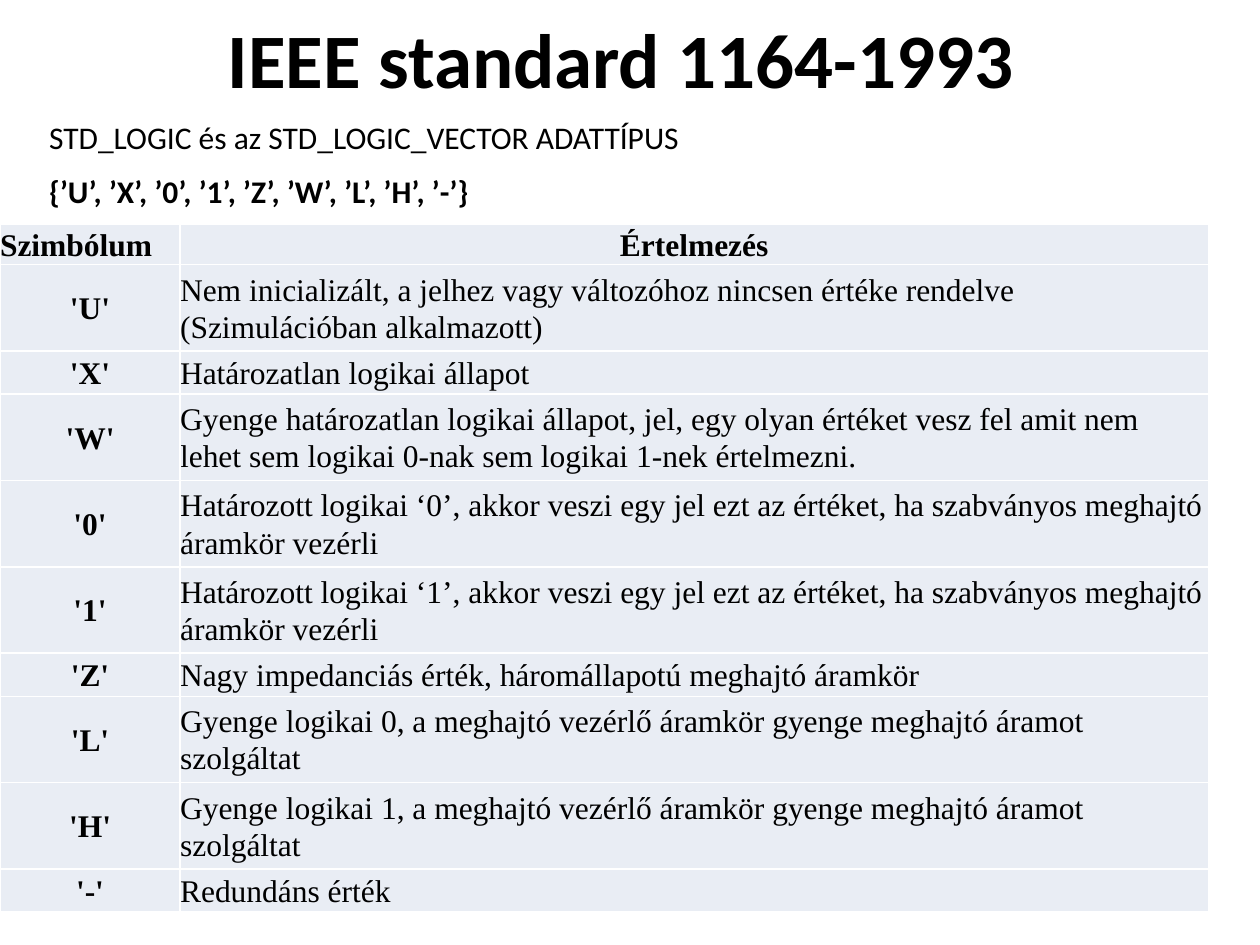
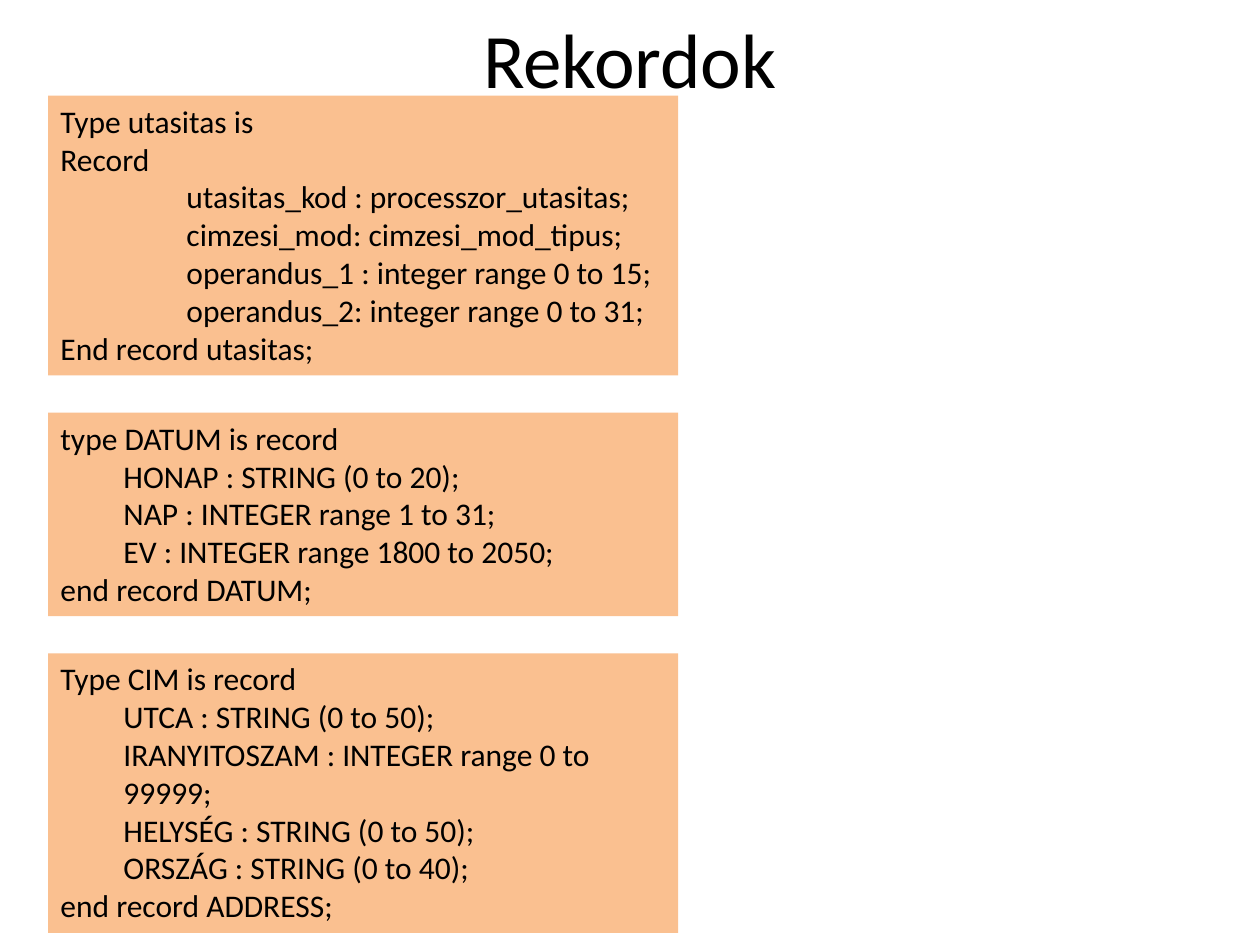
from lxml import etree
from pptx import Presentation
from pptx.dml.color import RGBColor
from pptx.enum.shapes import MSO_SHAPE
from pptx.enum.text import MSO_ANCHOR, MSO_AUTO_SIZE, PP_ALIGN
from pptx.oxml.ns import qn
from pptx.util import Cm, Pt

LEFT, CENTER = PP_ALIGN.LEFT, PP_ALIGN.CENTER
TOP, MIDDLE = MSO_ANCHOR.TOP, MSO_ANCHOR.MIDDLE
RECT, GROW = MSO_SHAPE.RECTANGLE, MSO_AUTO_SIZE.SHAPE_TO_FIT_TEXT
BLACK, WHITE, PALE, PEACH = "000000", "FFFFFF", "E9EDF4", "FAC090"
SANS, SERIF = "Calibri", "Times New Roman"

# Content of the first slide
TITLES = [("IEEE standard 1164-1993 ", True), ("Rekordok", False)]
LEADS = [  # text, bold, top, width
    ("STD_LOGIC és az STD_LOGIC_VECTOR ADATTÍPUS", False, 2.26, 13.33),
    ("{’U’, ’X’, ’0’, ’1’, ’Z’, ’W’, ’L’, ’H’, ’-’} ", True, 3.35, 9.22),
]
HEADS = ("Szimbólum", "Értelmezés")
STATES = [  # symbol, meaning, lines of text
    ("U", "Nem inicializált, a jelhez vagy változóhoz nincsen értéke "
          "rendelve (Szimulációban alkalmazott)", 2),
    ("X", "Határozatlan logikai állapot", 1),
    ("W", "Gyenge határozatlan logikai állapot, jel, egy olyan értéket vesz "
          "fel amit nem lehet sem logikai 0-nak sem logikai 1-nek "
          "értelmezni. ", 2),
    *[(bit, f"Határozott logikai ‘{bit}’, akkor veszi egy jel ezt az értéket, "
            "ha szabványos meghajtó áramkör vezérli", 2) for bit in "01"],
    ("Z", "Nagy impedanciás érték, háromállapotú meghajtó áramkör", 1),
    *[(name, f"Gyenge logikai {bit}, a meghajtó vezérlő áramkör gyenge "
             "meghajtó áramot szolgáltat", 2)
      for name, bit in (("L", 0), ("H", 1))],
    ("-", "Redundáns érték", 1),
]
COLS = (3.63, 20.73)
HEAD_H, ROW_H = 0.8, 0.87

# Content of the second slide: opening lines, fields, end, indent, lines
RECORDS = [
    (["Type utasitas is", "Record"],
     ["utasitas_kod : processzor_utasitas;",
      "cimzesi_mod: cimzesi_mod_tipus;",
      "operandus_1 : integer range 0 to 15;",
      "operandus_2: integer range 0 to 31;"],
     "End record utasitas;", 2.54, 7),
    (["type DATUM is record"],
     ["HONAP : STRING (0 to 20);",
      "NAP : INTEGER range 1 to 31;",
      "EV : INTEGER range 1800 to 2050;"],
     "end record DATUM;", 1.27, 5),
    (["Type CIM is record"],
     ["UTCA : STRING (0 to 50);",
      "IRANYITOSZAM : INTEGER range 0 to 99999;",
      "HELYSÉG : STRING (0 to 50);",
      "ORSZÁG : STRING (0 to 40);"],
     "end record ADDRESS;", 1.27, 7),
]
LINE_H, PAD, GAP = 0.77, 0.25, 0.75


def paint(fmt, color):
    """Give a fill one solid colour."""
    fmt.solid()
    fmt.fore_color.rgb = RGBColor.from_string(color)


def assign(obj, values):
    """Set attributes from a dict of format values."""
    for name, value in values.items():
        setattr(obj, name, value)


def write(par, text, face=SANS, size=18, bold=False, **form):
    """Fill a paragraph with one styled run."""
    run = par.add_run()
    run.text = text
    assign(run.font, {"name": face, "size": Pt(size), "bold": bold})
    run.font.color.rgb = RGBColor.from_string(BLACK)
    assign(par, {"alignment": LEFT, **form})


def add_text(slide, box, text, frame, **style):
    """Add a text box holding one paragraph."""
    shape = slide.shapes.add_textbox(*map(Cm, box))
    assign(shape.text_frame, frame)
    write(shape.text_frame.paragraphs[0], text, **style)


def add_page(deck, title, bold):
    """Add a blank slide with the shared title."""
    slide = deck.slides.add_slide(deck.slide_layouts[6])
    add_text(slide, (0, 0, 25.4, 2.34), title,
             {"word_wrap": True, "vertical_anchor": MIDDLE},
             size=44, bold=bold, alignment=CENTER)
    return slide


def edge(cell):
    """Draw thin white borders; they must stand before the fill."""
    props = cell._tc.get_or_add_tcPr()
    for spot, side in enumerate(("lnL", "lnR", "lnT", "lnB")):
        line = etree.Element(qn(f"a:{side}"), w=str(Pt(1)))
        fill = etree.SubElement(line, qn("a:solidFill"))
        etree.SubElement(fill, qn("a:srgbClr"), val=WHITE)
        props.insert(spot, line)


def add_states(slide):
    """Add the table of logic states."""
    rows = [(*HEADS, HEAD_H)]
    rows += [(f"'{name}'", text, ROW_H * n) for name, text, n in STATES]
    area = (0, 4.52, sum(COLS), sum(row[2] for row in rows))
    table = slide.shapes.add_table(len(rows), 2, *map(Cm, area)).table
    assign(table, {"first_row": False, "horz_banding": False})
    for col, width in zip(table.columns, COLS):
        col.width = Cm(width)
    for r, (*texts, height) in enumerate(rows):
        table.rows[r].height = Cm(height)
        for c, text in enumerate(texts):
            cell = table.cell(r, c)
            paint(cell.fill, PALE)
            edge(cell)
            assign(cell, {"margin_left": 0, "margin_right": 0,
                          "margin_top": 0, "margin_bottom": 0,
                          "vertical_anchor": MIDDLE})
            # Symbols and the second heading are centred
            mid = (r == 0) == (c == 1)
            write(cell.text_frame.paragraphs[0], text, SERIF,
                  bold=r == 0 or c == 0, alignment=CENTER if mid else LEFT,
                  line_spacing=1.07, space_after=Pt(8))


def add_record(slide, top, height, opening, fields, end, indent):
    """Add one code box with its fields indented."""
    shape = slide.shapes.add_shape(
        RECT, *map(Cm, (0.97, top, 12.7, height)))
    shape.shadow.inherit = False
    paint(shape.fill, PEACH)
    shape.line.fill.background()
    frame = shape.text_frame
    assign(frame, {"word_wrap": True, "vertical_anchor": TOP,
                   "auto_size": GROW})
    lines = [(text, 0) for text in opening]
    lines += [(text, indent) for text in fields] + [(end, 0)]
    for i, (text, left) in enumerate(lines):
        par = frame.add_paragraph() if i else frame.paragraphs[0]
        write(par, text)
        if left:
            props = par._p.get_or_add_pPr()
            props.set("marL", str(Cm(left)))
            props.set("indent", "0")


def main():
    """Build both slides and save the deck."""
    deck = Presentation()
    assign(deck, {"slide_width": Cm(25.4), "slide_height": Cm(19.05)})
    logic, code = [add_page(deck, *title) for title in TITLES]
    for text, bold, top, width in LEADS:
        add_text(logic, (0.74, top, width, 1.02), text,
                 {"word_wrap": False, "auto_size": GROW}, bold=bold)
    add_states(logic)
    top = 1.93
    for *parts, count in RECORDS:
        height = count * LINE_H + PAD
        add_record(code, top, height, *parts)
        top += height + GAP
    deck.save("out.pptx")


main()
